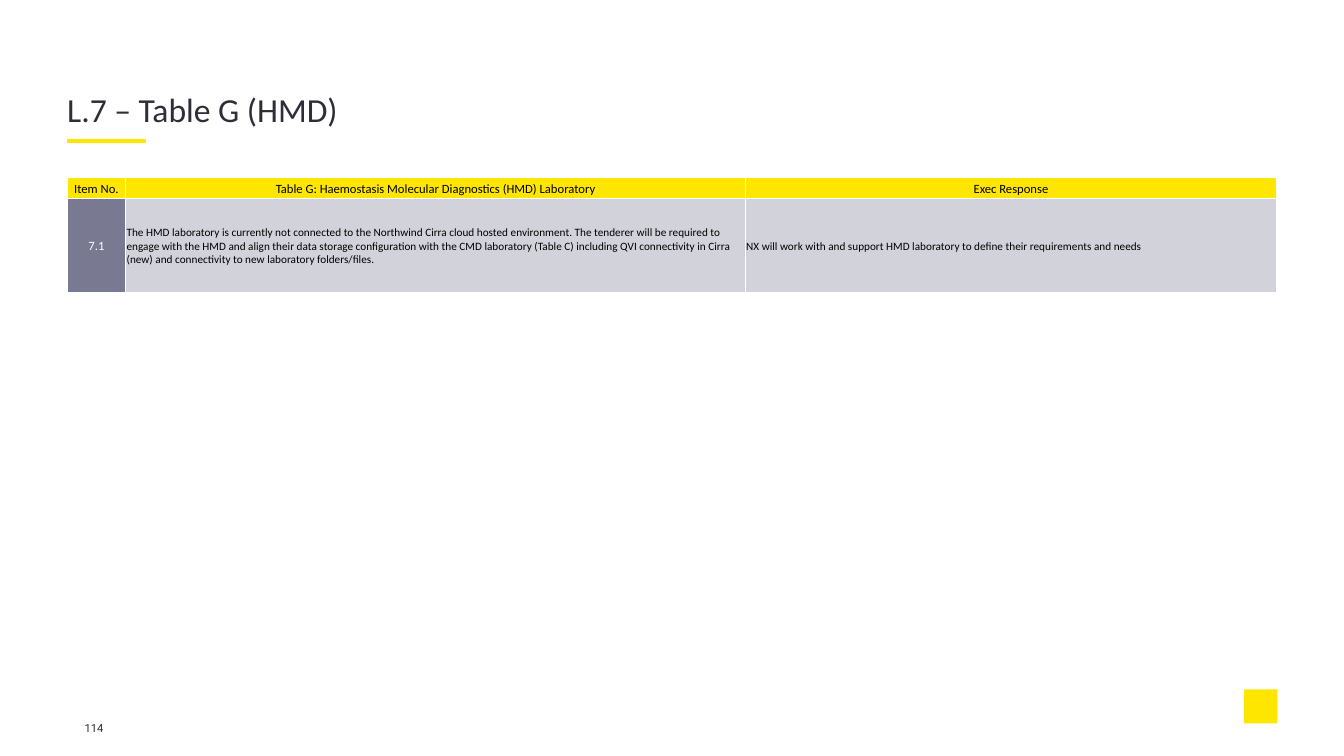
from lxml import etree
from pptx import Presentation
from pptx import util as u
from pptx.dml.color import RGBColor
from pptx.enum import shapes, text
from pptx.oxml import ns, parse_xml

YELLOW = RGBColor(0xFF, 0xE6, 0x00)
INK = RGBColor(0x2E, 0x2E, 0x38)
BLACK = RGBColor(0x00, 0x00, 0x00)
WHITE = RGBColor(0xFF, 0xFF, 0xFF)
SLATE = RGBColor(0x79, 0x79, 0x91)
MIST = RGBColor(0xD2, 0xD2, 0xDA)

LEFT, CENTER = text.PP_ALIGN.LEFT, text.PP_ALIGN.CENTER
TOP, MIDDLE, BOTTOM = (text.MSO_ANCHOR.TOP, text.MSO_ANCHOR.MIDDLE,
                       text.MSO_ANCHOR.BOTTOM)

HEADERS = ["Item No.",
           "Table G: Haemostasis Molecular Diagnostics (HMD) Laboratory",
           "Exec Response"]
ITEM = ["7.1",
        "The HMD laboratory is currently not connected to the Northwind Cirra "
        "cloud hosted environment. The tenderer will be required to engage with "
        "the HMD and align their data storage configuration with the CMD "
        "laboratory (Table C) including QVI connectivity in Cirra (new) and "
        "connectivity to new laboratory folders/files.",
        "NX will work with and support HMD laboratory to define their "
        "requirements and needs"]


class Deck:
    """Slide on a grid of 20 columns by 20 rows."""
    GRID = 20

    def __init__(self):
        self.prs = Presentation()
        self.prs.slide_width, self.prs.slide_height = u.Inches(13.33), u.Inches(7.5)
        self.s = self.prs.slides.add_slide(self.prs.slide_layouts[5])

    def x(self, cols):
        return round(self.prs.slide_width * cols / self.GRID)

    def y(self, rows):
        return round(self.prs.slide_height * rows / self.GRID)

    def box(self, left, top, width, height):
        return self.x(left), self.y(top), self.x(width), self.y(height)

    def put_text(self, tf, words, size, color, align=LEFT, font="Calibri", after=0):
        p = tf.paragraphs[0]
        p.alignment, p.space_after = align, u.Pt(after)
        r = p.add_run()
        r.text = words
        style = {"name": font, "size": u.Pt(size), "bold": False}
        for key, value in style.items():
            setattr(r.font, key, value)
        r.font.color.rgb = color

    def frame(self, tf, anchor, inset=0):
        style = {"word_wrap": True, "auto_size": text.MSO_AUTO_SIZE.NONE,
                 "vertical_anchor": anchor, "margin_left": 0, "margin_right": 0,
                 "margin_top": u.Inches(inset), "margin_bottom": u.Inches(inset)}
        for key, value in style.items():
            setattr(tf, key, value)

    def title(self, words, *place):
        sp = self.s.shapes.title
        sp.left, sp.top, sp.width, sp.height = self.box(*place)
        self.frame(sp.text_frame, BOTTOM)
        self.put_text(sp.text_frame, words, 24, INK, after=5)

    def label(self, words, *place):
        tf = self.s.shapes.add_textbox(*self.box(*place)).text_frame
        self.frame(tf, TOP, 0.05)
        self.put_text(tf, words, 8, INK, CENTER, "Roboto")

    def rule(self, left, right, row):
        line = self.s.shapes.add_connector(
            shapes.MSO_CONNECTOR.STRAIGHT,
            self.x(left), self.y(row), self.x(right), self.y(row))
        line.line.color.rgb, line.line.width = YELLOW, u.Pt(3)
        etree.SubElement(line._element.spPr, ns.qn("a:effectLst"))

    def block(self, color, *place):
        sp = self.s.shapes.add_shape(shapes.MSO_SHAPE.RECTANGLE, *self.box(*place))
        sp.shadow.inherit = False
        sp.fill.solid()
        sp.fill.fore_color.rgb = color
        sp.line.fill.background()

    def borders(self, cell):
        for side in ("lnL", "lnR", "lnT", "lnB"):
            cell._tc.get_or_add_tcPr().append(parse_xml(
                f'<a:{side} {ns.nsdecls("a")} w="{u.Pt(1)}"><a:solidFill>'
                f'<a:srgbClr val="{WHITE}"/></a:solidFill></a:{side}>'))

    def cell(self, cell, words, fill, *style):
        self.borders(cell)
        cell.fill.solid()
        cell.fill.fore_color.rgb = fill
        cell.vertical_anchor = MIDDLE
        for side, inset in {"left": 0.01, "right": 0.01, "top": 0.01, "bottom": 0}.items():
            setattr(cell, f"margin_{side}", u.Inches(inset))
        self.put_text(cell.text_frame, words, *style)

    def table(self, left, top, widths, heights, rows):
        place = self.box(left, top, sum(widths), sum(heights))
        table = self.s.shapes.add_table(len(heights), len(widths), *place).table
        table.first_row = table.horz_banding = False
        for column, width in zip(table.columns, widths):
            column.width = self.x(width)
        for row, height, cells in zip(table.rows, heights, rows):
            row.height = self.y(height)
            for cell, content in zip(row.cells, cells):
                self.cell(cell, *content)


def main():
    deck = Deck()

    # Heading
    deck.title("L.7 – Table G (HMD)", 1, 1.9, 18, 1.52)
    deck.rule(1, 2.18, 3.74)

    # Requirement table
    header = [(words, YELLOW, 9, BLACK, CENTER) for words in HEADERS]
    item = [(ITEM[0], SLATE, 9, WHITE, CENTER)]
    item += [(words, MIST, 8, BLACK) for words in ITEM[1:]]
    deck.table(1, 4.7, [0.87, 9.22, 7.91], [0.56, 2.48], [header, item])

    # Footer
    deck.block(YELLOW, 18.51, 18.24, 0.5, 0.9)
    deck.label("114", 1.25, 18.96, 0.3, 0.5)

    deck.prs.save("out.pptx")


if __name__ == "__main__":
    main()
